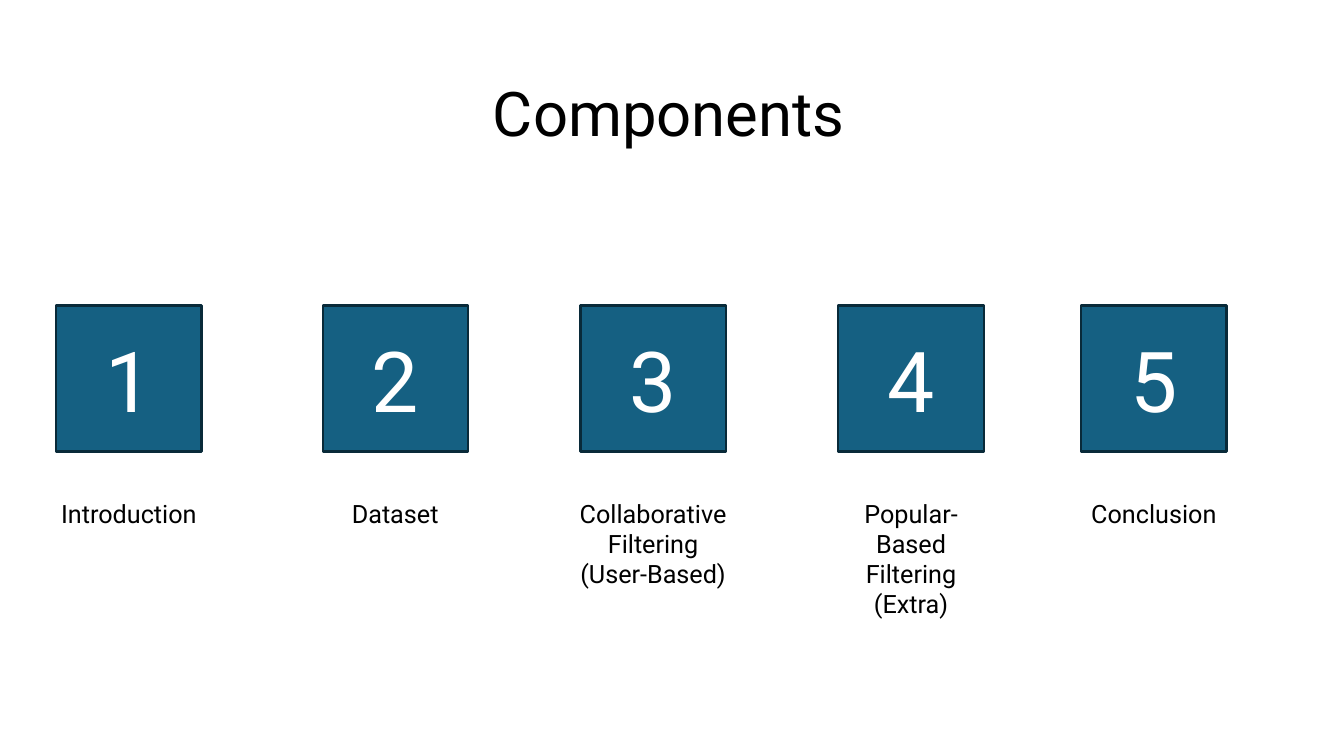
from pptx import Presentation
from pptx.dml.color import RGBColor
from pptx.enum.shapes import MSO_SHAPE
from pptx.enum.text import MSO_ANCHOR, MSO_AUTO_SIZE, PP_ALIGN
from pptx.util import Cm, Pt

TITLE = "Components"
# label, left edge of its square in cm, lines the label takes
COMPONENTS = [
    ("Introduction", 1.42, 1),
    ("Dataset", 8.13, 1),
    ("Collaborative Filtering (User-Based)", 14.63, 3),
    ("Popular-Based Filtering (Extra)", 21.13, 4),
    ("Conclusion", 27.25, 1),
]

FONT = "Roboto"
BLACK = RGBColor(0x00, 0x00, 0x00)
WHITE = RGBColor(0xFF, 0xFF, 0xFF)
BLUE = RGBColor(0x15, 0x60, 0x82)
DARK_BLUE = RGBColor(0x09, 0x2A, 0x39)

SQUARE_TOP, SQUARE_WIDTH, SQUARE_HEIGHT = 7.7, 3.66, 3.68
LABEL_TOP, LABEL_WIDTH = 12.42, 4.42
LABEL_MARGINS, LINE_HEIGHT = 0.25, 0.77


def write(shape, text, size, color, alignment, anchor):
    frame = shape.text_frame
    frame.word_wrap = True
    frame.vertical_anchor = anchor
    frame.text = text
    paragraph = frame.paragraphs[0]
    paragraph.alignment = alignment
    paragraph.font.name = FONT
    paragraph.font.size = Pt(size)
    paragraph.font.color.rgb = color
    return paragraph


def add_square(slide, number, left):
    square = slide.shapes.add_shape(
        MSO_SHAPE.RECTANGLE, Cm(left), Cm(SQUARE_TOP), Cm(SQUARE_WIDTH), Cm(SQUARE_HEIGHT))
    square.shadow.inherit = False
    square.fill.solid()
    square.fill.fore_color.rgb = BLUE
    square.line.color.rgb = DARK_BLUE
    square.line.width = Pt(1.5)
    write(square, str(number), 60, WHITE, PP_ALIGN.CENTER, MSO_ANCHOR.MIDDLE)


def add_label(slide, text, square_left, lines):
    """Add a label centred below its square."""
    left = square_left - (LABEL_WIDTH - SQUARE_WIDTH) / 2
    height = LABEL_MARGINS + lines * LINE_HEIGHT
    label = slide.shapes.add_textbox(Cm(left), Cm(LABEL_TOP), Cm(LABEL_WIDTH), Cm(height))
    write(label, text, 18, BLACK, PP_ALIGN.CENTER, MSO_ANCHOR.TOP)
    label.text_frame.auto_size = MSO_AUTO_SIZE.SHAPE_TO_FIT_TEXT


def main():
    presentation = Presentation()
    presentation.slide_width, presentation.slide_height = Cm(33.87), Cm(19.05)
    slide = presentation.slides.add_slide(presentation.slide_layouts[5])

    title = slide.shapes.title
    title.left, title.top, title.width, title.height = Cm(12.17), Cm(0.38), Cm(10.36), Cm(5.11)
    paragraph = write(title, TITLE, 44, BLACK, PP_ALIGN.LEFT, MSO_ANCHOR.MIDDLE)
    paragraph.line_spacing = 0.9

    for number, (text, left, lines) in enumerate(COMPONENTS, start=1):
        add_square(slide, number, left)
        add_label(slide, text, left, lines)

    presentation.save("out.pptx")


if __name__ == "__main__":
    main()
